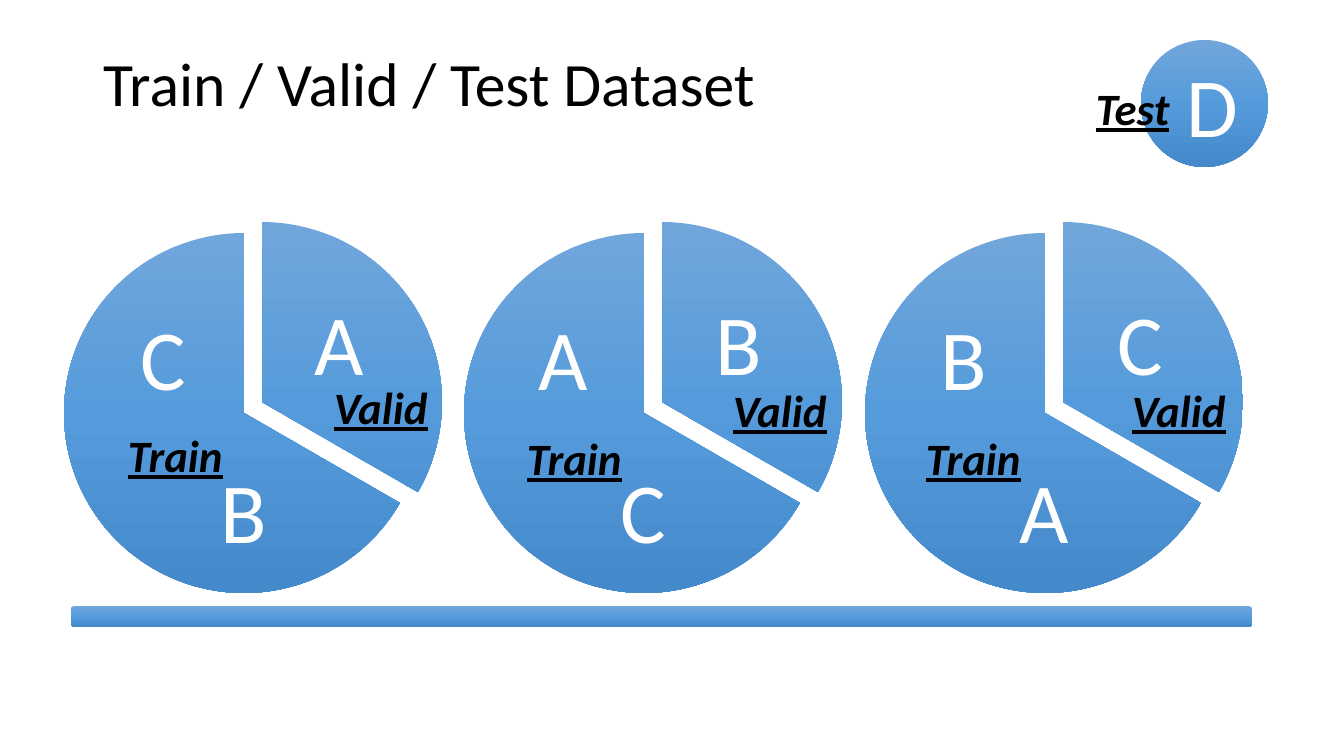
from copy import deepcopy
from dataclasses import dataclass

from pptx import Presentation
from pptx.dml.color import RGBColor
from pptx.enum.shapes import MSO_SHAPE as Preset
from pptx.enum.text import MSO_ANCHOR as Anchor, MSO_AUTO_SIZE as AutoSize, PP_ALIGN as Align
from pptx.oxml.ns import qn
from pptx.shapes.autoshape import Shape
from pptx.shapes.shapetree import GroupShapes, SlideShapes
from pptx.text.text import TextFrame
from pptx.util import Emu, Pt

SLIDE_WIDTH, SLIDE_HEIGHT = 1344, 756
EMU_PER_PX = 12192000 / SLIDE_WIDTH
TITLE_ONLY_LAYOUT = 5
INSET = 8
PIE_SIZE = 360
LABEL_PITCH = 399


@dataclass(frozen=True)
class Theme:
    font: str = "Calibri"
    ink: str = "000000"
    paper: str = "FFFFFF"
    gradient: tuple[str, ...] = ("71A6DB", "559BDB", "448ACA")
    title_size: int = 44
    fold_size: int = 61
    holdout_size: int = 60
    label_size: int = 32


@dataclass(frozen=True)
class Box:
    left: int
    top: int
    width: int
    height: int

    def shifted(self, dx: int, dy: int = 0) -> "Box":
        return Box(self.left + dx, self.top + dy, self.width, self.height)

    def emu(self) -> tuple[Emu, Emu, Emu, Emu]:
        return px(self.left), px(self.top), px(self.width), px(self.height)


@dataclass(frozen=True)
class Slice:
    pie: Box
    start: int
    end: int
    letter: Box


@dataclass(frozen=True)
class Split:
    left: int
    folds: str
    label_drop: int


THEME = Theme()
SLICES = (
    Slice(Box(18, 222, PIE_SIZE, PIE_SIZE), 162, 18, Box(214, 288, 122, 120)),
    Slice(Box(0, 233, PIE_SIZE, PIE_SIZE), 18, 90, Box(98, 460, 163, 112)),
    Slice(Box(0, 233, PIE_SIZE, PIE_SIZE), 90, 162, Box(38, 303, 122, 120)),
)
SPLITS = (Split(64, "ABC", 0), Split(464, "BCA", 3), Split(865, "CAB", 3))
ROLES = {
    "Train": Box(118, 423, 116, 65),
    "Valid": Box(324, 375, 115, 65),
}


def px(length: int) -> Emu:
    return Emu(round(length * EMU_PER_PX))


def write(frame: TextFrame, text: str, size: int, color: str, align: Align = Align.LEFT) -> None:
    frame.text = text
    paragraph = frame.paragraphs[0]
    paragraph.alignment = align
    font = paragraph.runs[0].font
    font.name = THEME.font
    font.size = Pt(size)
    font.color.rgb = RGBColor.from_string(color)


def set_insets(frame: TextFrame, left: int = INSET) -> None:
    frame.margin_left = px(left)
    frame.margin_top = frame.margin_right = frame.margin_bottom = px(INSET)


def add_glossy(shapes: SlideShapes | GroupShapes, preset: Preset, box: Box) -> Shape:
    glossy = shapes.add_shape(preset, *box.emu())
    glossy.shadow.inherit = False
    glossy.line.fill.background()
    glossy.fill.gradient()
    glossy.fill.gradient_angle = 270
    stop_list = glossy.element.spPr.find(qn("a:gradFill")).find(qn("a:gsLst"))
    stop_list.insert(1, deepcopy(stop_list[0]))
    stops = glossy.fill.gradient_stops
    for index, color in enumerate(THEME.gradient):
        stops[index].position = index / (len(THEME.gradient) - 1)
        stops[index].color.rgb = RGBColor.from_string(color)
    return glossy


def add_split(shapes: SlideShapes, split: Split) -> None:
    wheel = shapes.add_group_shape().shapes
    for part, fold in zip(SLICES, split.folds):
        pie = add_glossy(wheel, Preset.PIE, part.pie.shifted(split.left))
        pie.adjustments[0] = part.start
        pie.adjustments[1] = part.end
        letter = wheel.add_textbox(*part.letter.shifted(split.left).emu()).text_frame
        letter.word_wrap = True
        letter.vertical_anchor = Anchor.MIDDLE
        set_insets(letter)
        write(letter, fold, THEME.fold_size, THEME.paper, Align.CENTER)
        letter.paragraphs[0].line_spacing = 0.9


def add_role(shapes: SlideShapes, role: str, box: Box) -> None:
    label = shapes.add_textbox(*box.emu()).text_frame
    label.word_wrap = False
    label.auto_size = AutoSize.SHAPE_TO_FIT_TEXT
    write(label, role, THEME.label_size, THEME.ink)
    font = label.paragraphs[0].runs[0].font
    font.bold = font.italic = font.underline = True


def add_title(shapes: SlideShapes, text: str, box: Box) -> None:
    title = shapes.title
    title.left, title.top, title.width, title.height = box.emu()
    frame = title.text_frame
    frame.auto_size = AutoSize.NONE
    frame.vertical_anchor = Anchor.MIDDLE
    write(frame, text, THEME.title_size, THEME.ink)
    frame.paragraphs[0].line_spacing = 0.9


def add_holdout(shapes: SlideShapes) -> None:
    holdout = add_glossy(shapes, Preset.OVAL, Box(1141, 40, 127, 127)).text_frame
    holdout.vertical_anchor = Anchor.MIDDLE
    set_insets(holdout, left=27)
    write(holdout, "D", THEME.holdout_size, THEME.paper)


def main() -> None:
    deck = Presentation()
    deck.slide_width, deck.slide_height = px(SLIDE_WIDTH), px(SLIDE_HEIGHT)
    shapes = deck.slides.add_slide(deck.slide_layouts[TITLE_ONLY_LAYOUT]).shapes

    add_title(shapes, "Train / Valid / Test Dataset", Box(93, 40, 1181, 93))
    for split in SPLITS:
        add_split(shapes, split)
    add_holdout(shapes)
    for index, split in enumerate(SPLITS):
        for role, box in ROLES.items():
            add_role(shapes, role, box.shifted(index * LABEL_PITCH, split.label_drop))
    add_role(shapes, "Test", Box(1086, 76, 95, 65))
    add_glossy(shapes, Preset.ROUNDED_RECTANGLE, Box(71, 606, 1181, 21))

    deck.save("out.pptx")


if __name__ == "__main__":
    main()
